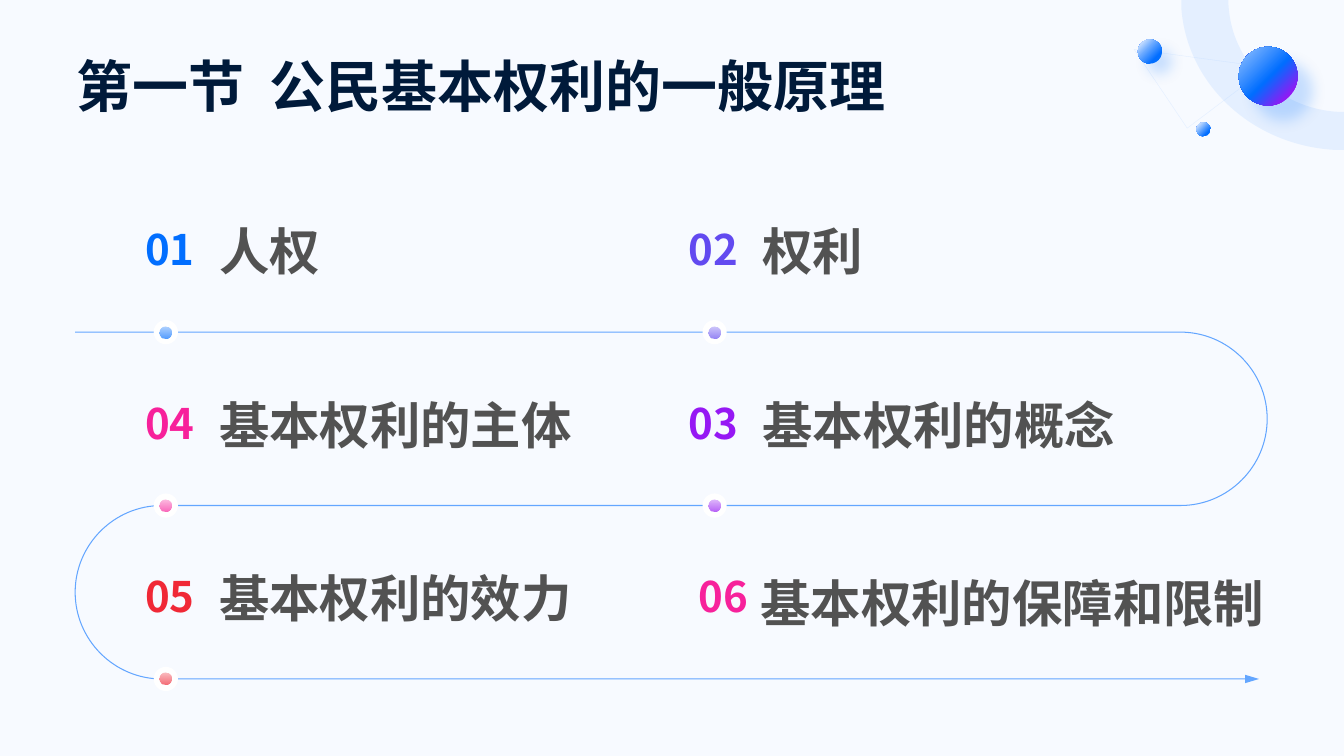
from dataclasses import dataclass

from lxml.etree import SubElement
from pptx import Presentation
from pptx.dml.color import RGBColor as Rgb
from pptx.enum.shapes import MSO_SHAPE as Kind
from pptx.enum.text import MSO_ANCHOR as Anchor, PP_ALIGN as Align
from pptx.oxml import parse_xml
from pptx.oxml.ns import nsdecls, qn
from pptx.util import Cm, Pt


@dataclass(frozen=True)
class Theme:
    back: str = "F7FAFF"
    white: str = "FFFFFF"
    title: str = "001A3A"
    label: str = "525252"
    blue: str = "016EFF"
    pale: str = "CCE2FF"
    sky: str = "99C5FF"
    mid: str = "67A8FF"
    indigo: str = "624AF0"
    violet: str = "9618F4"
    pink: str = "F7219B"
    red: str = "F02836"
    font: str = "Noto Sans CJK SC"
    latin: str = "Arial"
    title_pt: int = 40
    label_pt: int = 36
    num_pt: int = 30


THEME = Theme()
WIDTH, HEIGHT = 33.87, 19.05
TOP, STEP = 8.37, 4.37  # first line of the route, distance between lines
LEFT, RIGHT, END = 4.08, 29.75, 31.73  # bend centres and arrow tip
COLS = (3.44, 17.13)  # number boxes
DOTS = (4.18, 18.01)

# number, label, colour, row, column, number shift, label shift (x, y)
ITEMS = [
    ("01", "人权", THEME.blue, 0, 0, 0, (0, 0)),
    ("02", "权利", THEME.indigo, 0, 1, 0, (0, 0)),
    ("03", "基本权利的概念", THEME.violet, 1, 1, 0, (0, 0)),
    ("04", "基本权利的主体", THEME.pink, 1, 0, 0, (0, 0)),
    ("05", "基本权利的效力", THEME.red, 2, 0, 0, (0, 0)),
    ("06", "基本权利的保障和限制", THEME.pink, 2, 1, 0.27, (-0.05, 0.13)),
]


def put(obj, values):
    for name, value in values.items():
        setattr(obj, name, value)


def paint(fill, color):
    if color:
        fill.solid()
        fill.fore_color.rgb = Rgb.from_string(color)
    else:
        fill.background()


def text(slide, words, box, size, color, font=THEME.font, para=None, **frame):
    area = slide.shapes.add_textbox(*map(Cm, box)).text_frame
    put(area, {"word_wrap": True, "vertical_anchor": Anchor.MIDDLE,
               "margin_left": 0, "margin_top": 0, "margin_right": 0,
               "margin_bottom": Cm(0.2), **frame})
    line = area.paragraphs[0]
    put(line, para or {})
    run = line.add_run()
    run.text = words
    put(run.font, {"size": Pt(size), "bold": True, "name": font})
    run.font.color.rgb = Rgb.from_string(color)
    SubElement(run.font._element, qn("a:ea"), typeface=THEME.font)


def solid(slide, kind, box, color):
    shape = slide.shapes.add_shape(kind, *map(Cm, box))
    shape.line.fill.background()
    shape.shadow.inherit = False
    paint(shape.fill, color)
    return shape


def blend(shape, stops, radial):
    """Fill with (position, colour, opacity) stops, from the corner or down."""
    marks = "".join(
        f'<a:gs pos="{pos * 1000}"><a:srgbClr val="{color}">'
        f'<a:alpha val="{alpha * 1000}"/></a:srgbClr></a:gs>'
        for pos, color, alpha in stops)
    way = ('<a:path path="circle"><a:fillToRect r="100000" b="100000"/></a:path>'
           if radial else '<a:lin ang="5400000" scaled="0"/>')
    props = shape._element.spPr
    props.replace(props.find(qn("a:noFill")), parse_xml(
        f'<a:gradFill {nsdecls("a")} rotWithShape="1">'
        f'<a:gsLst>{marks}</a:gsLst>{way}</a:gradFill>'))


def disc(slide, x, y, size, color=None, stops=None, radial=False, drop=0):
    """Circle centred on x, y; drop is the shadow distance in points."""
    box = x - size / 2, y - size / 2, size, size
    shape = solid(slide, Kind.OVAL, box, color)
    if stops:
        blend(shape, stops, radial)
    if drop:
        shape._element.spPr.find(qn("a:effectLst")).append(parse_xml(
            f'<a:outerShdw {nsdecls("a")} blurRad="{Pt(10)}" dist="{Pt(drop)}" '
            f'dir="2700000" algn="tl" rotWithShape="0">'
            f'<a:srgbClr val="{THEME.blue}"><a:alpha val="20000"/></a:srgbClr>'
            f'</a:outerShdw>'))


def trace(slide, start, parts, alpha, fill=None, line=None, width=0, close=True):
    """Outline of parts: (x, y) is a line, six numbers are a Bézier curve."""
    spots = [(Cm(x), Cm(y)) for part in parts
             for x, y in zip(part[::2], part[1::2])]
    draft = slide.shapes.build_freeform(*map(Cm, start))
    draft.add_line_segments(spots, close=close)
    shape = draft.convert_to_shape()
    steps = iter(list(shape._element.iter(qn("a:lnTo"))))
    for part in parts:
        first = next(steps)
        if len(part) == 6:
            first.tag = qn("a:cubicBezTo")
            for _ in range(2):
                spare = next(steps)
                first.append(spare[0])
                spare.getparent().remove(spare)
    shape.shadow.inherit = False
    paint(shape.fill, fill)
    paint(shape.line.fill, line)
    if line:
        shape.line.width = Pt(width)
    for tint in shape._element.spPr.iter(qn("a:srgbClr")):
        SubElement(tint, qn("a:alpha"), val=str(alpha * 1000))
    return shape


def bend(x, y, side):
    """Half circle from one line of the route down to the next."""
    size = STEP / 2
    pull, edge, mid, low = side * size * 0.55, x + side * size, y + size, y + STEP
    return [(x + pull, y, edge, mid - size * 0.55, edge, mid),
            (edge, mid + size * 0.55, x + pull, low, x, low)]


def corner(slide):
    """Ring and linked balls at the top right."""
    trace(slide, (28.58, 1.24), [(31.95, 1.7), (29.92, 3.23)], 50,
          line=THEME.pale, width=0.25)
    ring = [(30.96, 0), (30.96, 0.13), (31.04, 1.57, 32.23, 2.74, 33.73, 2.82),
            (WIDTH, 2.82), (WIDTH, 3.78), (33.68, 3.78),
            (31.57, 3.68, 29.9, 2.13, 29.77, 0.18)]
    trace(slide, (29.77, 0), ring, 20, fill=THEME.sky)
    t = THEME
    balls = [
        (31.96, 1.92, 1.48, 15, ((0, t.sky), (52, t.blue), (85, t.violet))),
        (28.98, 1.3, 0.61, 10, ((12, t.pale), (40, t.mid), (75, t.blue))),
        (30.33, 3.26, 0.36, 0, ((13, t.pale), (75, t.blue))),
    ]
    for x, y, size, drop, stops in balls:
        disc(slide, x, y, size, stops=[(*s, 100) for s in stops],
             radial=True, drop=drop)


def route(slide):
    parts = [(RIGHT, TOP), *bend(RIGHT, TOP, 1), (LEFT, TOP + STEP),
             *bend(LEFT, TOP + STEP, -1), (END, TOP + 2 * STEP)]
    shape = trace(slide, (LEFT - STEP / 2, TOP), parts, 60,
                  line=THEME.blue, width=0.75, close=False)
    SubElement(shape.line._get_or_add_ln(), qn("a:tailEnd"),
               type="triangle", w="med", len="lg")


def item(slide, num, label, color, row, col, shift, move):
    x, y = COLS[col], TOP + (row - 1) * STEP
    text(slide, num, (x + shift, y, 1.68, STEP), THEME.num_pt, color,
         para={"line_spacing": 1.3, "alignment": Align.CENTER}, word_wrap=False)
    text(slide, label, (x + 2.08 + move[0], y + move[1], 13.11, STEP),
         THEME.label_pt, THEME.label, THEME.latin, para={"line_spacing": 1.3})


def dot(slide, color, row, col):
    spot = DOTS[col], TOP + row * STEP
    disc(slide, *spot, 0.61, color=THEME.white)
    disc(slide, *spot, 0.3, stops=[(0, color, 30), (100, color, 70)])


def main():
    deck = Presentation()
    put(deck, {"slide_width": Cm(WIDTH), "slide_height": Cm(HEIGHT)})
    slide = deck.slides.add_slide(deck.slide_layouts[6])
    solid(slide, Kind.RECTANGLE, (0, 0, WIDTH, HEIGHT), THEME.back)
    corner(slide)
    text(slide, "第一节  公民基本权利的一般原理", (1.93, 0.99, 30, 2.01),
         THEME.title_pt, THEME.title, vertical_anchor=Anchor.BOTTOM,
         margin_bottom=0)
    route(slide)
    for entry in ITEMS:
        item(slide, *entry)
    for _, _, color, row, col, *_ in ITEMS[:-1]:
        dot(slide, color, row, col)
    deck.save("out.pptx")


if __name__ == "__main__":
    main()
